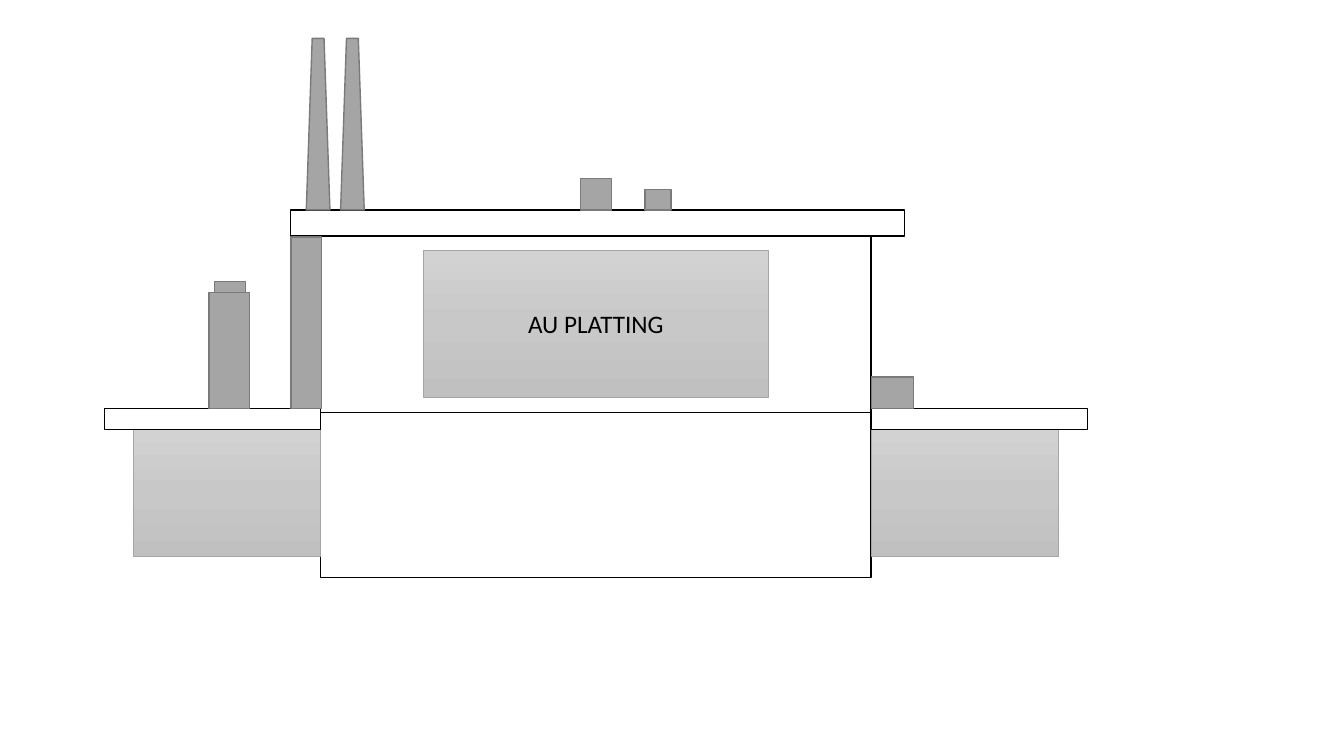
from copy import deepcopy

from pptx import Presentation
from pptx.dml.color import RGBColor
from pptx.enum.shapes import MSO_SHAPE
from pptx.enum.text import MSO_ANCHOR, PP_ALIGN
from pptx.util import Pt

WHITE = RGBColor(0xFF, 0xFF, 0xFF)
BLACK = RGBColor(0x00, 0x00, 0x00)
GREY = RGBColor(0xA5, 0xA5, 0xA5)
DARK = RGBColor(0x7A, 0x7A, 0x7A)
SHADES = (
    (0, RGBColor(0xD2, 0xD2, 0xD2)),
    (0.5, RGBColor(0xC8, 0xC8, 0xC8)),
    (1, RGBColor(0xC0, 0xC0, 0xC0)),
)

LEFT, RIGHT = 229.1, 622.2  # side walls of the main hall
HALL = RIGHT - LEFT
ROOF = 149.9  # top of the main roof
FLOOR = 294.6  # between the two storeys
EAVE = 292  # top of the wing roofs
WING = 133.5
SLAB = 154.6


class Plant:
    def __init__(self, slide):
        self.slide = slide
        self.font = {"name": "Calibri", "size": Pt(18)}

    def block(self, x, y, w, h, fill, edge, line=1, kind=MSO_SHAPE.RECTANGLE):
        shape = self.slide.shapes.add_shape(kind, Pt(x), Pt(y), Pt(w), Pt(h))
        shape.shadow.inherit = False
        if fill is not None:
            shape.fill.solid()
            shape.fill.fore_color.rgb = fill
        shape.line.color.rgb = edge
        shape.line.width = Pt(line)
        return shape

    def wall(self, x, y, w, h):
        return self.block(x, y, w, h, WHITE, BLACK)

    def unit(self, x, y, w, h):
        return self.block(x, y, w, h, GREY, DARK)

    def stack(self, x, y, w, h):
        return self.block(x, y, w, h, GREY, DARK, kind=MSO_SHAPE.TRAPEZOID)

    def panel(self, x, y, w, h):
        """Draw a block shaded from light at the top to dark at the foot."""
        shape = self.block(x, y, w, h, None, GREY, 0.5)
        fill = shape.fill
        fill.gradient()
        fill.gradient_angle = 270
        first = shape._element.spPr.xpath("a:gradFill/a:gsLst/a:gs")[0]
        first.addnext(deepcopy(first))
        for stop, (place, tone) in zip(fill.gradient_stops, SHADES):
            stop.position = place
            stop.color.rgb = tone
        return shape

    def label(self, shape, text):
        frame = shape.text_frame
        frame.vertical_anchor = MSO_ANCHOR.MIDDLE
        para = frame.paragraphs[0]
        para.alignment = PP_ALIGN.CENTER
        run = para.add_run()
        run.text = text
        for key, value in self.font.items():
            setattr(run.font, key, value)
        run.font.color.rgb = BLACK


def main():
    deck = Presentation()
    deck.slide_width, deck.slide_height = Pt(960), Pt(540)
    plant = Plant(deck.slides.add_slide(deck.slide_layouts[6]))

    # Main hall, its sign and roof
    plant.wall(LEFT, 168.6, HALL, FLOOR - 168.6)
    plant.label(plant.panel(302.4, 178.7, 246.5, 105), "AU PLATTING")
    plant.wall(207.4, ROOF, 438.6, 18.7)
    plant.unit(414.5, 127.4, 22.2, 22.8)
    plant.unit(460.8, 135.4, 18.5, 14.6)
    plant.wall(LEFT, FLOOR, HALL, 118)

    # Side wings
    for x in (LEFT - WING, RIGHT):
        plant.panel(x, 306.9, WING, 90.5)
    for x in (LEFT - SLAB, RIGHT):
        plant.wall(x, EAVE, SLAB, 15)

    # Equipment standing on the wings
    for x, w, h in ((208, 21.6, 122.6), (622.4, 30.2, 22.8), (149.4, 28.8, 83)):
        plant.unit(x, EAVE - h, w, h)
    plant.unit(153.2, 201.2, 22, 7.8)

    # Chimneys
    for x in (218.8, 243.3):
        plant.stack(x, 27.4, 16.9, ROOF - 27.4)

    deck.save("out.pptx")


if __name__ == "__main__":
    main()
